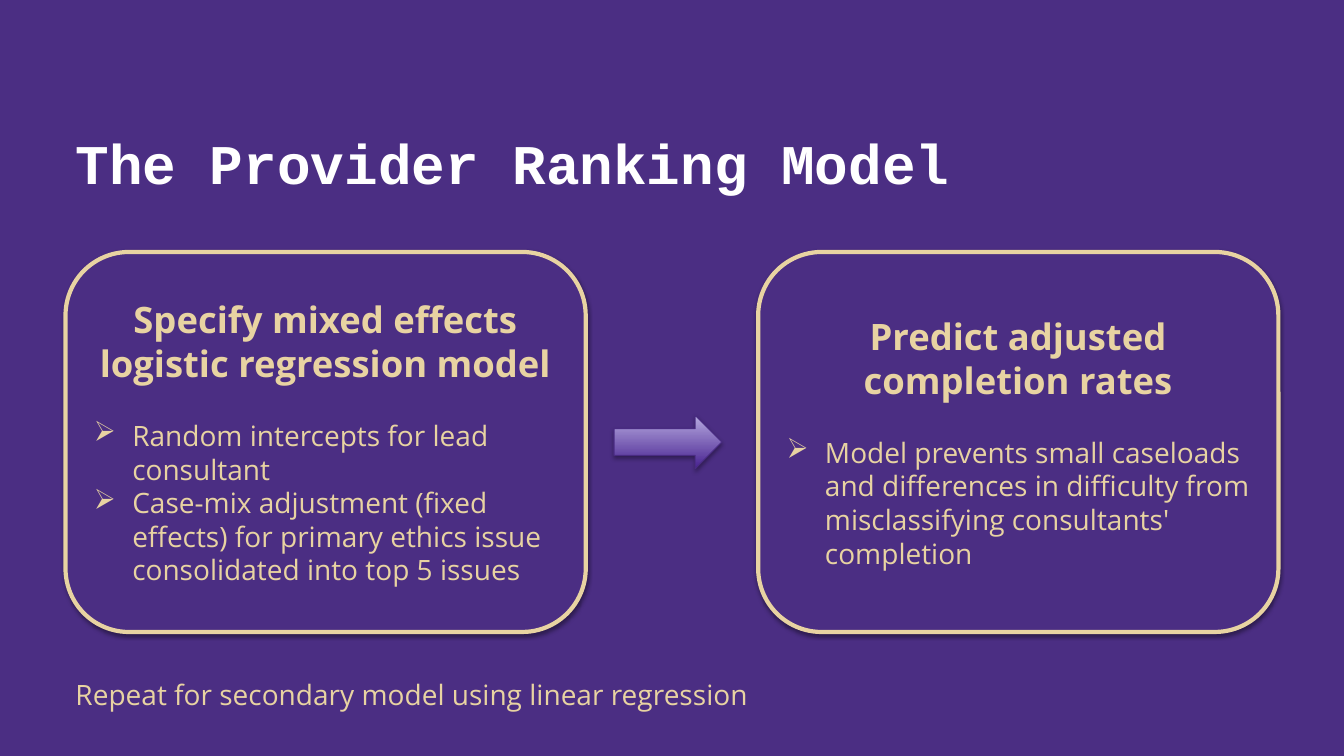
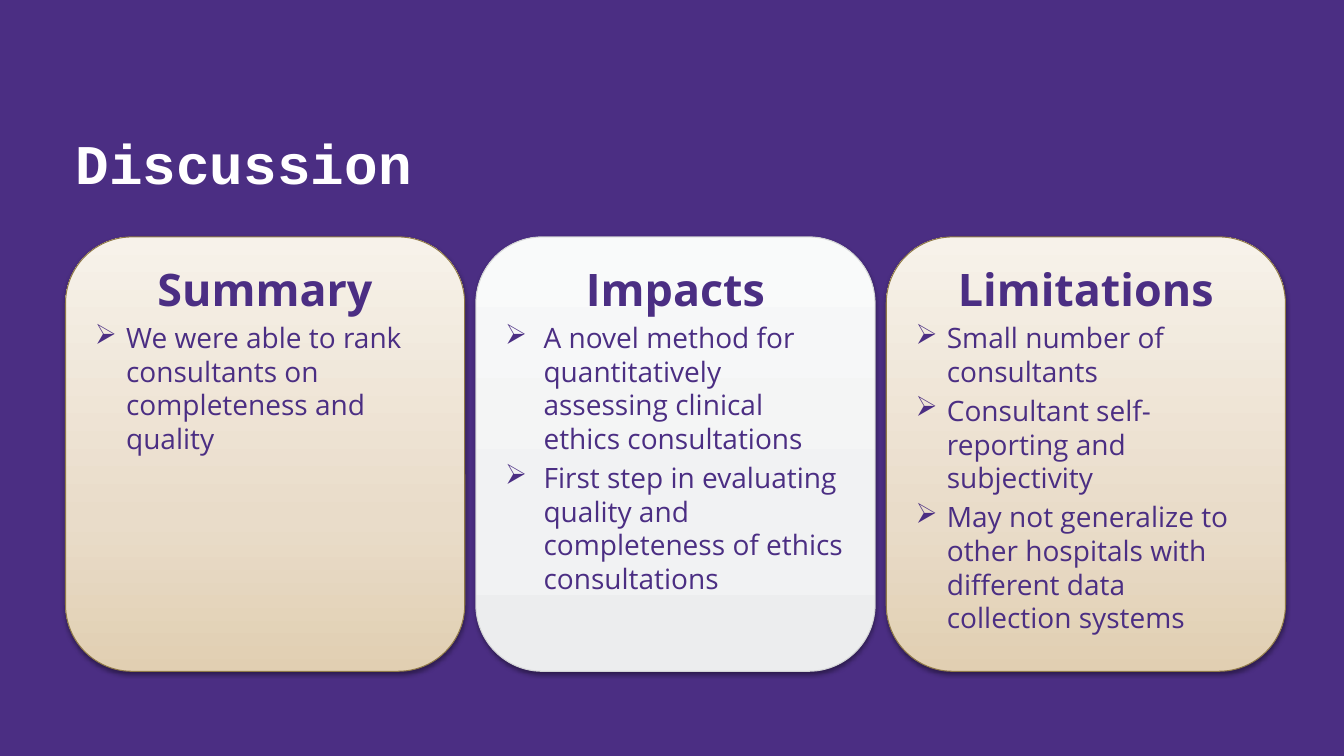
from dataclasses import dataclass

from pptx import Presentation
from pptx.dml.color import RGBColor
from pptx.enum.shapes import MSO_SHAPE
from pptx.enum.text import MSO_ANCHOR, MSO_AUTO_SIZE, PP_ALIGN
from pptx.oxml import parse_xml
from pptx.oxml.ns import nsdecls, qn
from pptx.util import Inches, Pt


@dataclass(frozen=True)
class Theme:
    purple: str = "4B2E83"
    gold: str = "E8D3A2"
    white: str = "FFFFFF"
    arrow_line: str = "492B82"
    arrow_stops: tuple = ((0, "472190"), (100, "B7ABE0"))
    sand_line: str = "8F7949"
    sand_stops: tuple = ((0, "E1CFB2"), (35, "E9DCC9"), (100, "F7F2EA"))
    silver_line: str = "D3D4D5"
    silver_stops: tuple = ((0, "ECEDEE"), (35, "F1F2F3"), (100, "F9FAFA"))
    title_font: str = "Courier New"
    body_font: str = "Open Sans"
    title_size: int = 40
    card_size: int = 32
    step_size: int = 26
    body_size: int = 20


THEME = Theme()


def style_runs(para, size, color, bold=False, name=THEME.body_font):
    for span in para.runs:
        span.font.name = name
        span.font.size = Pt(size)
        span.font.bold = bold
        span.font.color.rgb = RGBColor.from_string(color)


def set_gradient(shape, stops):
    """Fill the shape from bottom to top with (percent, colour) stops."""
    shape.fill.gradient()
    shape.fill.gradient_angle = 90
    stop_list = shape._element.spPr.find(qn("a:gradFill")).find(qn("a:gsLst"))
    for stop in list(stop_list):
        stop_list.remove(stop)
    for percent, color in stops:
        stop_list.append(parse_xml(
            f'<a:gs {nsdecls("a")} pos="{percent * 1000}">'
            f'<a:srgbClr val="{color}"/></a:gs>'))


def set_shadow(shape, opacity, distance):
    """Drop a soft black shadow straight down; distance is in points."""
    shape.shadow.inherit = False
    effects = shape._element.spPr.find(qn("a:effectLst"))
    effects.append(parse_xml(
        f'<a:outerShdw {nsdecls("a")} blurRad="{Pt(3.1)}" dist="{Pt(distance)}" '
        f'dir="5400000" rotWithShape="0"><a:srgbClr val="000000">'
        f'<a:alpha val="{opacity * 1000}"/></a:srgbClr></a:outerShdw>'))


def add_block(page, kind, box, line, line_width, fill=None, stops=None,
              opacity=38, distance=1.6):
    shape = page.shapes.add_shape(kind, *map(Inches, box))
    if stops:
        set_gradient(shape, stops)
    else:
        shape.fill.solid()
        shape.fill.fore_color.rgb = RGBColor.from_string(fill)
    shape.line.color.rgb = RGBColor.from_string(line)
    shape.line.width = Pt(line_width)
    set_shadow(shape, opacity, distance)
    return shape


def write_heading_and_bullets(shape, heading, bullets, size, color, indent,
                              heading_gap=0, bullet_gap=0):
    frame = shape.text_frame
    frame.word_wrap = True
    para = frame.paragraphs[0]
    para.text = heading
    para.alignment = PP_ALIGN.CENTER
    para.space_after = Pt(heading_gap)
    style_runs(para, size, color, bold=True)
    for bullet in bullets:
        para = frame.add_paragraph()
        para.text = bullet
        para.alignment = PP_ALIGN.LEFT
        para.space_before = Pt(bullet_gap)
        style_runs(para, THEME.body_size, color)
        properties = para._p.get_or_add_pPr()
        properties.set("marL", str(Inches(indent)))
        properties.set("indent", str(-Inches(indent)))
        properties.append(parse_xml(f'<a:buChar {nsdecls("a")} char="➢"/>'))


def add_page(deck, heading):
    page = deck.slides.add_slide(deck.slide_layouts[5])
    title = page.shapes.title
    title.left, title.top = Inches(0.65), Inches(0.54)
    title.width, title.height = Inches(11.95), Inches(1.45)
    frame = title.text_frame
    frame.text = heading
    frame.auto_size = MSO_AUTO_SIZE.NONE
    frame.vertical_anchor = MSO_ANCHOR.BOTTOM
    para = frame.paragraphs[0]
    para.alignment = PP_ALIGN.LEFT
    style_runs(para, THEME.title_size, THEME.white, True, THEME.title_font)
    return page


def add_step(page, box, heading, bullets):
    shape = add_block(page, MSO_SHAPE.ROUNDED_RECTANGLE, box, THEME.gold, 3,
                      fill=THEME.purple)
    shape.text_frame.vertical_anchor = MSO_ANCHOR.MIDDLE
    write_heading_and_bullets(shape, heading, bullets, THEME.step_size,
                              THEME.gold, indent=0.38, heading_gap=24)


def add_card(page, box, heading, bullets, line, stops, indent):
    shape = add_block(page, MSO_SHAPE.ROUNDED_RECTANGLE, box, line, 0.75,
                      stops=stops)
    shape.text_frame.vertical_anchor = MSO_ANCHOR.TOP
    write_heading_and_bullets(shape, heading, bullets, THEME.card_size,
                              THEME.purple, indent, bullet_gap=4)


def add_closing_line(page, box, text):
    frame = page.shapes.add_textbox(*map(Inches, box)).text_frame
    frame.word_wrap = True
    frame.text = text
    style_runs(frame.paragraphs[0], THEME.body_size, THEME.gold)


def build_model_page(deck):
    page = add_page(deck, "The Provider Ranking Model")
    steps = [
        ("Specify mixed effects logistic regression model",
         ["Random intercepts for lead consultant",
          "Case-mix adjustment (fixed effects) for primary ethics issue "
          "consolidated into top 5 issues"]),
        ("Predict adjusted completion rates",
         ["Model prevents small caseloads and differences in difficulty from "
          "misclassifying consultants' completion"]),
    ]
    for left, (heading, bullets) in zip((0.65, 7.52), steps):
        add_step(page, (left, 2.5, 5.16, 3.77), heading, bullets)
    add_block(page, MSO_SHAPE.RIGHT_ARROW, (6.09, 4.12, 1.07, 0.53),
              THEME.arrow_line, 0.75, stops=THEME.arrow_stops,
              opacity=35, distance=1.8)
    add_closing_line(page, (0.65, 6.67, 7.55, 0.44),
                     "Repeat for secondary model using linear regression")


def build_discussion_page(deck):
    page = add_page(deck, "Discussion")
    sand = (THEME.sand_line, THEME.sand_stops, 0.31)
    silver = (THEME.silver_line, THEME.silver_stops, 0.38)
    cards = [
        ("Summary",
         ["We were able to rank consultants on completeness and quality"], sand),
        ("Impacts",
         ["A novel method for quantitatively assessing clinical ethics "
          "consultations",
          "First step in evaluating quality and completeness of ethics "
          "consultations"], silver),
        ("Limitations",
         ["Small number of consultants",
          "Consultant self-reporting and subjectivity",
          "May not generalize to other hospitals with different data "
          "collection systems"], sand),
    ]
    width, gap = 3.96, 0.11
    for index, (heading, bullets, look) in enumerate(cards):
        left = 0.65 + index * (width + gap)
        add_card(page, (left, 2.35, width, 4.31), heading, bullets, *look)


def main():
    deck = Presentation()
    deck.slide_width, deck.slide_height = Inches(13.33), Inches(7.5)
    backdrop = deck.slide_master.background.fill
    backdrop.solid()
    backdrop.fore_color.rgb = RGBColor.from_string(THEME.purple)
    build_model_page(deck)
    build_discussion_page(deck)
    deck.save("out.pptx")


if __name__ == "__main__":
    main()
